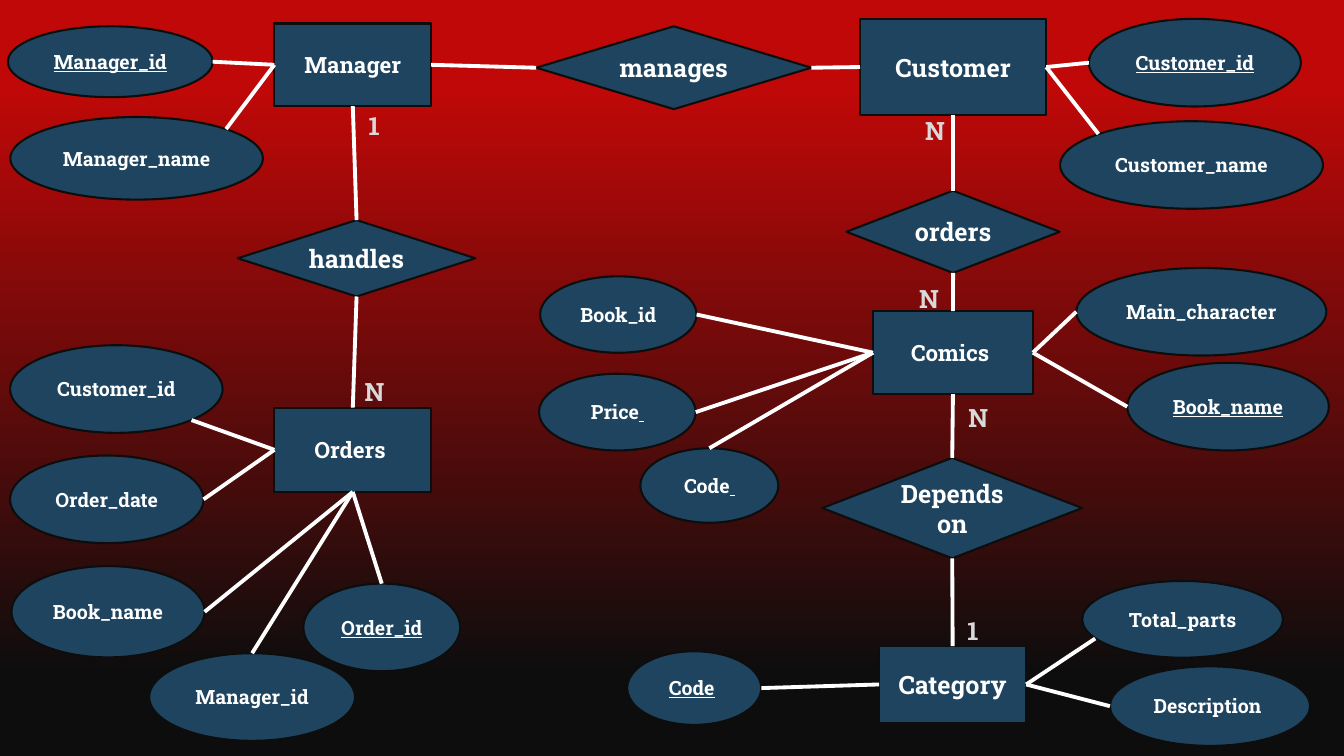
from typing import NamedTuple

from lxml import etree
from pptx import Presentation
from pptx import util as u
from pptx.dml import color
from pptx.enum import shapes, text
from pptx.oxml import ns

FONT = "Roboto Slab"
NAVY, BLACK, RED, WHITE, GREY = "1F445F", "0D0D0D", "C10808", "FFFFFF", "D9D9D9"
PRESET = shapes.MSO_SHAPE
RECT, PROCESS = PRESET.RECTANGLE, PRESET.FLOWCHART_PROCESS
DIAMOND, OVAL = PRESET.FLOWCHART_DECISION, PRESET.OVAL
TOP, LEFT, BOTTOM, RIGHT = range(4)
EDGES = {
    "left": (0, 0.5),
    "right": (1, 0.5),
    "top": (0.5, 0),
    "upper left": (0.146, 0.146),
    "upper right": (0.854, 0.146),
    "lower right": (0.854, 0.854),
    "outer lower left": (0.065, 0.75),
}


class Box(NamedTuple):
    left: float
    top: float
    width: float
    height: float


class Attribute(NamedTuple):
    label: str
    box: Box
    edge: str
    site: int
    key: bool = False
    tail: str = ""


class Entity(NamedTuple):
    label: str
    box: Box
    preset: int
    size: int
    attributes: list[Attribute]


class Relationship(NamedTuple):
    label: str
    box: Box
    start: str
    start_sites: tuple[int, int]
    end: str
    end_sites: tuple[int, int]


class Cardinality(NamedTuple):
    label: str
    left: float
    top: float


ENTITIES = [
    Entity("Manager", Box(196, 16.8, 112, 59), PROCESS, 16, [
        Attribute("Manager_id", Box(5.6, 18.8, 146.3, 50.6), "right", LEFT, True),
        Attribute("Manager_name", Box(7.4, 83.6, 180.4, 59), "upper right", LEFT),
    ]),
    Entity("Customer", Box(614.3, 13.8, 133, 68.2), RECT, 18, [
        Attribute("Customer_id", Box(777.8, 13.5, 151.4, 62.6), "left", RIGHT, True),
        Attribute("Customer_name", Box(757.2, 86.6, 187.8, 62.5), "upper left", RIGHT),
    ]),
    Entity("Orders ", Box(196, 291.2, 112, 60.2), PROCESS, 16, [
        Attribute("Customer_id", Box(7.2, 246.6, 151.8, 62.6), "lower right", LEFT),
        Attribute("Order_date", Box(7.2, 325.4, 138.2, 62.6), "right", LEFT),
        Attribute("Book_name", Box(8.2, 404.4, 138, 65.2), "right", BOTTOM),
        Attribute("Manager_id", Box(106.6, 466.6, 147, 62.6), "top", BOTTOM),
        Attribute("Order_id", Box(216.7, 416.9, 112, 62.6), "top", BOTTOM, True),
    ]),
    Entity("Comics ", Box(623.6, 222.3, 114.2, 59.2), PROCESS, 16, [
        Attribute("Book_id", Box(385.8, 197.4, 111.8, 54.6), "right", LEFT),
        Attribute("Price", Box(385, 267, 112, 54.8), "right", LEFT, tail=" "),
        Attribute("Code", Box(457.4, 320.2, 98.6, 53.2), "top", LEFT, tail=" "),
        Attribute("Main_character", Box(768.8, 191.4, 178.6, 62.6), "left", RIGHT),
        Attribute("Book_name", Box(805.2, 259.2, 144, 62.6), "left", RIGHT, True),
    ]),
    Entity("Category", Box(628, 461.6, 105, 54.6), RECT, 18, [
        Attribute("Code", Box(448, 465.2, 95.8, 52.6), "right", LEFT, True, " "),
        Attribute("Total_parts", Box(773, 415, 143.4, 54.8), "outer lower left", RIGHT),
        Attribute("Description ", Box(792.8, 476, 143, 56.8), "left", RIGHT),
    ]),
]

RELATIONSHIPS = [
    Relationship("manages", Box(383, 18.8, 196.6, 59.2),
                 "Manager", (RIGHT, LEFT), "Customer", (RIGHT, LEFT)),
    Relationship("handles", Box(169.8, 157.2, 169.8, 54.6),
                 "Manager", (BOTTOM, TOP), "Orders ", (BOTTOM, TOP)),
    Relationship("orders", Box(604.6, 136.2, 152.4, 58.8),
                 "Customer", (BOTTOM, TOP), "Comics ", (BOTTOM, TOP)),
    Relationship("Depends on", Box(587.4, 327, 185.6, 71.8),
                 "Comics ", (BOTTOM, TOP), "Category", (BOTTOM, TOP)),
]

CARDINALITIES = [
    Cardinality("1", 256.3, 74.9),
    Cardinality("N", 253.4, 265),
    Cardinality("N", 684.7, 283.7),
    Cardinality("N", 649.4, 198.7),
    Cardinality("1", 684, 436.3),
    Cardinality("N", 653.8, 78.5),
]


def rgb(value: str) -> color.RGBColor:
    return color.RGBColor.from_string(value)


def format_run(r, size: float, shade: str, underline: bool = False) -> None:
    r.font.name = FONT
    r.font.size = u.Pt(size)
    r.font.bold = True
    r.font.color.rgb = rgb(shade)
    if underline:
        r.font.underline = True


def add_node(s, preset: int, box: Box, label: str, size: float,
             key: bool = False, tail: str = ""):
    sp = s.shapes.add_shape(preset, *map(u.Pt, box))
    sp.shadow.inherit = False
    sp.fill.solid()
    sp.fill.fore_color.rgb = rgb(NAVY)
    sp.line.color.rgb = rgb(BLACK)
    sp.line.width = u.Pt(1.5)
    tf = sp.text_frame
    tf.text = label
    tf.word_wrap = True
    tf.vertical_anchor = text.MSO_ANCHOR.MIDDLE
    p = tf.paragraphs[0]
    p.alignment = text.PP_ALIGN.CENTER
    format_run(p.runs[0], size, WHITE, key)
    if tail:
        r = p.add_run()
        r.text = tail
        format_run(r, size, WHITE, not key)
    return sp


def add_link(s, start, site: int, x: float = 0, y: float = 0):
    link = s.shapes.add_connector(
        shapes.MSO_CONNECTOR.STRAIGHT, 0, 0, u.Pt(x), u.Pt(y))
    link.begin_connect(start, site)
    link.line.color.rgb = rgb(WHITE)
    link.line.width = u.Pt(2.75)
    etree.SubElement(link._element.spPr, ns.qn("a:effectLst"))
    return link


def add_cardinality(s, item: Cardinality) -> None:
    sp = s.shapes.add_textbox(*map(u.Pt, (item.left, item.top, 31, 29)))
    tf = sp.text_frame
    tf.text = item.label
    tf.word_wrap = True
    tf.auto_size = text.MSO_AUTO_SIZE.SHAPE_TO_FIT_TEXT
    format_run(tf.paragraphs[0].runs[0], 18, GREY)


def paint_background(s) -> None:
    fill = s.background.fill
    fill.gradient()
    fill.gradient_angle = 270
    for stop, position, shade in zip(fill.gradient_stops, (0.11, 0.89), (RED, BLACK)):
        stop.position = position
        stop.color.rgb = rgb(shade)


def main() -> None:
    prs = Presentation()
    prs.slide_width, prs.slide_height = u.Pt(960), u.Pt(540)
    s = prs.slides.add_slide(prs.slide_layouts[6])
    paint_background(s)

    entities = {e.label: add_node(s, e.preset, e.box, e.label, e.size) for e in ENTITIES}
    for e in ENTITIES:
        for a in e.attributes:
            add_node(s, OVAL, a.box, a.label, 14, a.key, a.tail)
            fx, fy = EDGES[a.edge]
            add_link(s, entities[e.label], a.site,
                     a.box.left + fx * a.box.width, a.box.top + fy * a.box.height)

    for rel in RELATIONSHIPS:
        diamond = add_node(s, DIAMOND, rel.box, rel.label, 18)
        link = add_link(s, entities[rel.start], rel.start_sites[0])
        link.end_connect(diamond, rel.start_sites[1])
        link = add_link(s, diamond, rel.end_sites[0])
        link.end_connect(entities[rel.end], rel.end_sites[1])

    for item in CARDINALITIES:
        add_cardinality(s, item)
    prs.save("out.pptx")


if __name__ == "__main__":
    main()
